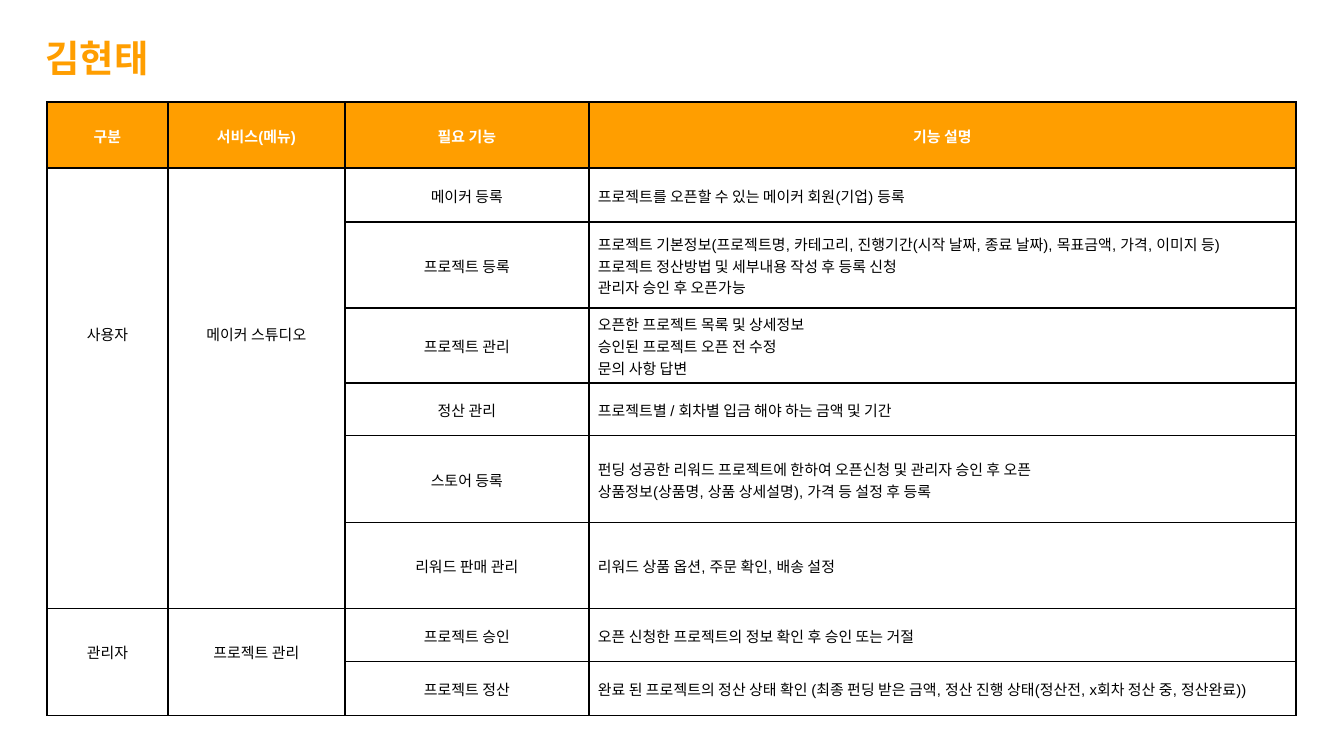
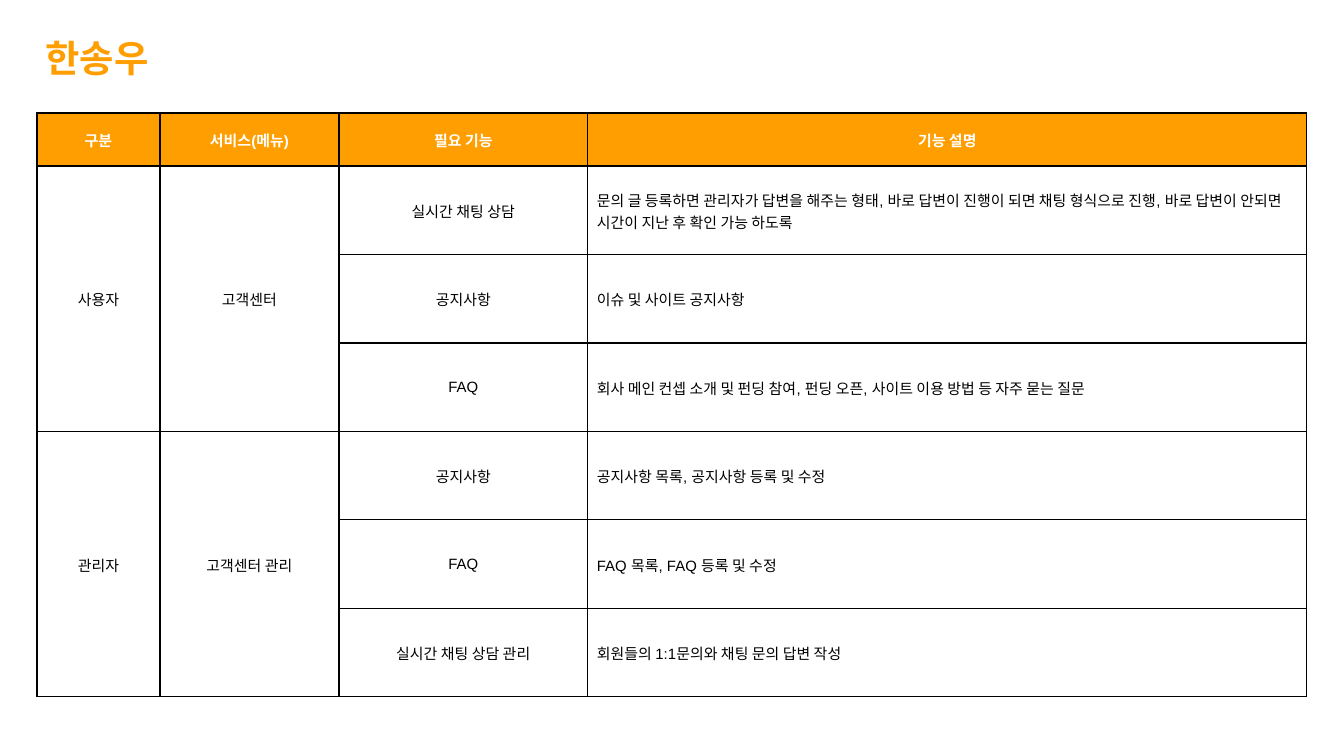
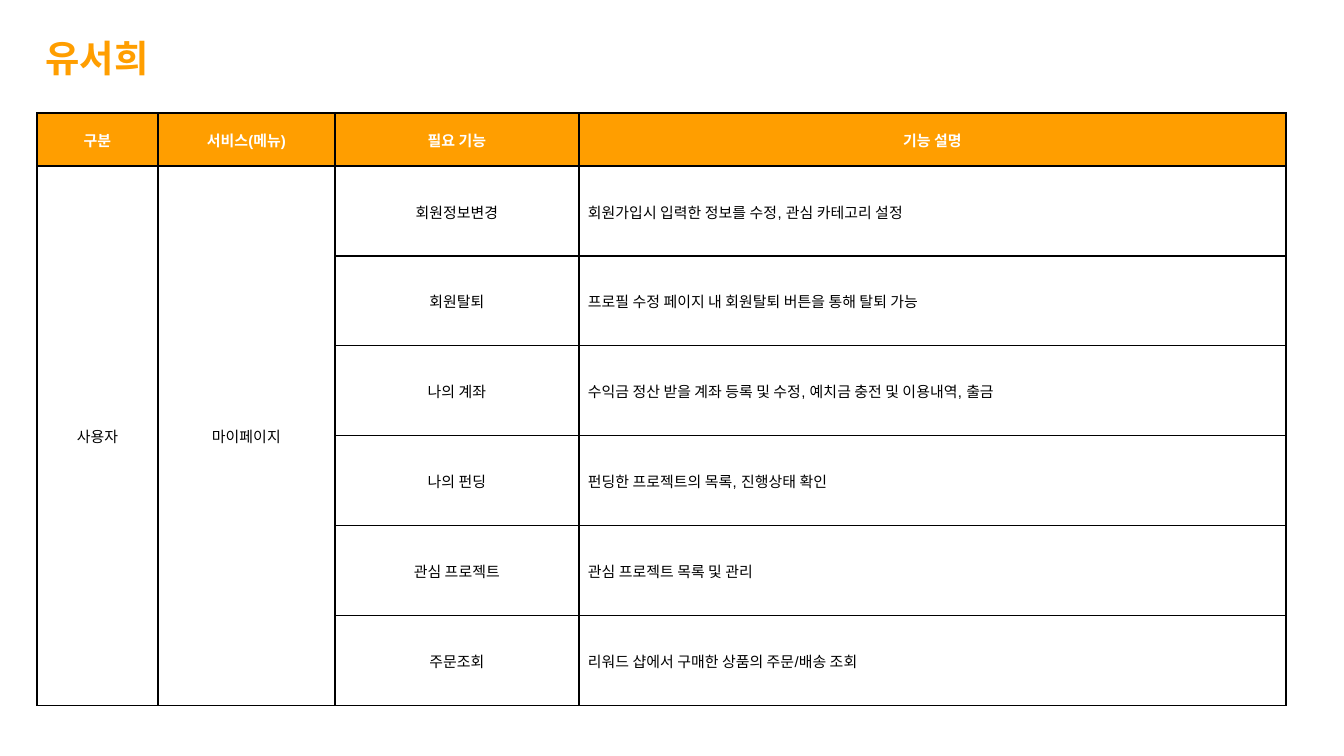
from dataclasses import dataclass

from lxml import etree
from pptx import Presentation
from pptx.dml.color import RGBColor
from pptx.enum.shapes import MSO_SHAPE
from pptx.enum.text import MSO_ANCHOR, MSO_AUTO_SIZE, PP_ALIGN
from pptx.oxml.ns import qn
from pptx.util import Emu, Pt

RECTANGLE = MSO_SHAPE.RECTANGLE
TOP, MIDDLE = MSO_ANCHOR.TOP, MSO_ANCHOR.MIDDLE
LEFT, CENTER = PP_ALIGN.LEFT, PP_ALIGN.CENTER
GROW = MSO_AUTO_SIZE.SHAPE_TO_FIT_TEXT

EMU_PER_PX = 914400 / 134.4
PAGE_WIDTH, PAGE_HEIGHT = 1344, 756
TITLE_ONLY = 5


@dataclass(frozen=True)
class Theme:
    font: str = "Arial"
    accent: str = "FF9E00"
    ink: str = "000000"
    paper: str = "FFFFFF"
    backdrop: str = "434343"
    title_size: int = 20
    cell_size: int = 8
    border: float = 0.75


THEME = Theme()
TITLE_FORMAT = {"name": THEME.font, "size": Pt(THEME.title_size), "bold": True}
HEADER_FORMAT = {"name": THEME.font, "size": Pt(THEME.cell_size), "bold": True}
BODY_FORMAT = {**HEADER_FORMAT, "bold": False}

HEADERS = ["구분", "서비스(메뉴)", "필요 기능", "기능 설명"]
COLUMNS = [121, 177, 244, 707]
WIDE_COLUMNS = [123, 179, 249, 719]
HEADER_HEIGHT = 53

MAKER_GROUPS = [
    ("사용자", "메이커 스튜디오", [
        ("메이커 등록", "프로젝트를 오픈할 수 있는 메이커 회원(기업) 등록"),
        ("프로젝트 등록",
         "프로젝트 기본정보(프로젝트명, 카테고리, 진행기간(시작 날짜, 종료 날짜), 목표금액, 가격, 이미지 등)\n"
         "프로젝트 정산방법 및 세부내용 작성 후 등록 신청\n"
         "관리자 승인 후 오픈가능"),
        ("프로젝트 관리",
         "오픈한 프로젝트 목록 및 상세정보\n승인된 프로젝트 오픈 전 수정\n문의 사항 답변"),
        ("정산 관리", "프로젝트별 / 회차별 입금 해야 하는 금액 및 기간"),
        ("스토어 등록",
         "펀딩 성공한 리워드 프로젝트에 한하여 오픈신청 및 관리자 승인 후 오픈\n"
         "상품정보(상품명, 상품 상세설명), 가격 등 설정 후 등록"),
        ("리워드 판매 관리", "리워드 상품 옵션, 주문 확인, 배송 설정"),
    ]),
    ("관리자", "프로젝트 관리", [
        ("프로젝트 승인", "오픈 신청한 프로젝트의 정보 확인 후 승인 또는 거절"),
        ("프로젝트 정산",
         "완료 된 프로젝트의 정산 상태 확인 "
         "(최종 펀딩 받은 금액, 정산 진행 상태(정산전, x회차 정산 중, 정산완료))"),
    ]),
]

SUPPORT_GROUPS = [
    ("사용자", "고객센터", [
        ("실시간 채팅 상담",
         "문의 글 등록하면 관리자가 답변을 해주는 형태, 바로 답변이 진행이 되면 채팅 형식으로 진행, "
         "바로 답변이 안되면 시간이 지난 후 확인 가능 하도록"),
        ("공지사항", "이슈 및 사이트 공지사항"),
        ("FAQ", "회사 메인 컨셉 소개 및 펀딩 참여, 펀딩 오픈, 사이트 이용 방법 등 자주 묻는 질문"),
    ]),
    ("관리자", "고객센터 관리", [
        ("공지사항", "공지사항 목록, 공지사항 등록 및 수정"),
        ("FAQ", "FAQ 목록, FAQ 등록 및 수정"),
        ("실시간 채팅 상담 관리", "회원들의 1:1문의와 채팅 문의 답변 작성"),
    ]),
]

MY_PAGE_GROUPS = [
    ("사용자", "마이페이지", [
        ("회원정보변경", "회원가입시 입력한 정보를 수정, 관심 카테고리 설정"),
        ("회원탈퇴", "프로필 수정 페이지 내 회원탈퇴 버튼을 통해 탈퇴 가능"),
        ("나의 계좌", "수익금 정산 받을 계좌 등록 및 수정, 예치금 충전 및 이용내역, 출금"),
        ("나의 펀딩", "펀딩한 프로젝트의 목록, 진행상태 확인"),
        ("관심 프로젝트", "관심 프로젝트 목록 및 관리"),
        ("주문조회", "리워드 샵에서 구매한 상품의 주문/배송 조회"),
    ]),
]


def px(length):
    return Emu(round(length * EMU_PER_PX))


def color(code):
    return RGBColor.from_string(code)


def set_attributes(target, values):
    for name, value in values.items():
        setattr(target, name, value)


def format_text(frame, font_format, font_color, alignment):
    for para in frame.paragraphs:
        para.alignment = alignment
        for span in para.runs:
            set_attributes(span.font, font_format)
            span.font.color.rgb = color(font_color)


def add_page(deck, title):
    """Add a white page with its name in the title placeholder."""
    page = deck.slides.add_slide(deck.slide_layouts[TITLE_ONLY])
    page.background.fill.solid()
    page.background.fill.fore_color.rgb = color(THEME.backdrop)

    panel = page.shapes.add_shape(RECTANGLE, 0, 0, px(PAGE_WIDTH), px(PAGE_HEIGHT))
    panel.shadow.inherit = False
    panel.fill.solid()
    panel.fill.fore_color.rgb = color(THEME.paper)
    panel.line.fill.background()

    box = page.shapes.title
    box.element.addprevious(panel.element)
    set_attributes(box, {"left": px(32), "top": px(28), "width": px(164), "height": px(59)})
    box.text_frame.text = title
    set_attributes(box.text_frame, {
        "word_wrap": True, "auto_size": GROW, "vertical_anchor": TOP})
    format_text(box.text_frame, TITLE_FORMAT, THEME.accent, LEFT)
    return page


def add_borders(cell):
    properties = cell._tc.get_or_add_tcPr()
    for side in ("lnL", "lnR", "lnT", "lnB"):
        line = etree.SubElement(properties, qn(f"a:{side}"), w=str(Pt(THEME.border)))
        fill = etree.SubElement(line, qn("a:solidFill"))
        etree.SubElement(fill, qn("a:srgbClr"), val=THEME.ink)


def style_cell(cell, is_header, is_description):
    add_borders(cell)
    cell.fill.solid()
    cell.fill.fore_color.rgb = color(THEME.accent if is_header else THEME.paper)
    indented = is_description and not is_header
    set_attributes(cell, {
        "vertical_anchor": MIDDLE, "margin_left": px(9 if indented else 1),
        "margin_right": px(1), "margin_top": px(1), "margin_bottom": 0})
    format_text(cell.text_frame, HEADER_FORMAT if is_header else BODY_FORMAT,
                THEME.paper if is_header else THEME.ink, LEFT if indented else CENTER)


def add_feature_table(page, left, top, columns, heights, groups, lift=0):
    """Add the table; lift is the space under a merged label per extra row."""
    table = page.shapes.add_table(len(heights), len(columns), px(left), px(top),
                                  px(sum(columns)), px(sum(heights))).table
    set_attributes(table, {"first_row": False, "horz_banding": False})
    for column, width in zip(table.columns, columns):
        column.width = px(width)
    for row, height in zip(table.rows, heights):
        row.height = px(height)

    rows = [HEADERS]
    for role, service, features in groups:
        for index, feature in enumerate(features):
            rows.append([*(("", "") if index else (role, service)), *feature])
    for row_index, texts in enumerate(rows):
        for column_index, text in enumerate(texts):
            cell = table.cell(row_index, column_index)
            cell.text = text
            style_cell(cell, row_index == 0, column_index == len(columns) - 1)

    first = 1
    for _, _, features in groups:
        last = first + len(features) - 1
        for column_index in range(2):
            label = table.cell(first, column_index)
            label.merge(table.cell(last, column_index))
            label.margin_bottom = px(lift * (last - first))
        first = last + 1


def even_heights(body_height, count):
    return [HEADER_HEIGHT] + [body_height / count] * count


def main():
    deck = Presentation()
    deck.slide_width, deck.slide_height = px(PAGE_WIDTH), px(PAGE_HEIGHT)

    add_feature_table(add_page(deck, "김현태"), 47, 102, COLUMNS,
                      [66, 54, 86, 75, 53, 87, 86, 53, 54], MAKER_GROUPS, lift=22)
    add_feature_table(add_page(deck, "한송우"), 37, 113, WIDE_COLUMNS,
                      even_heights(531, 6), SUPPORT_GROUPS)
    add_feature_table(add_page(deck, "유서희"), 37, 113, COLUMNS,
                      even_heights(540, 6), MY_PAGE_GROUPS)
    deck.save("out.pptx")


if __name__ == "__main__":
    main()
